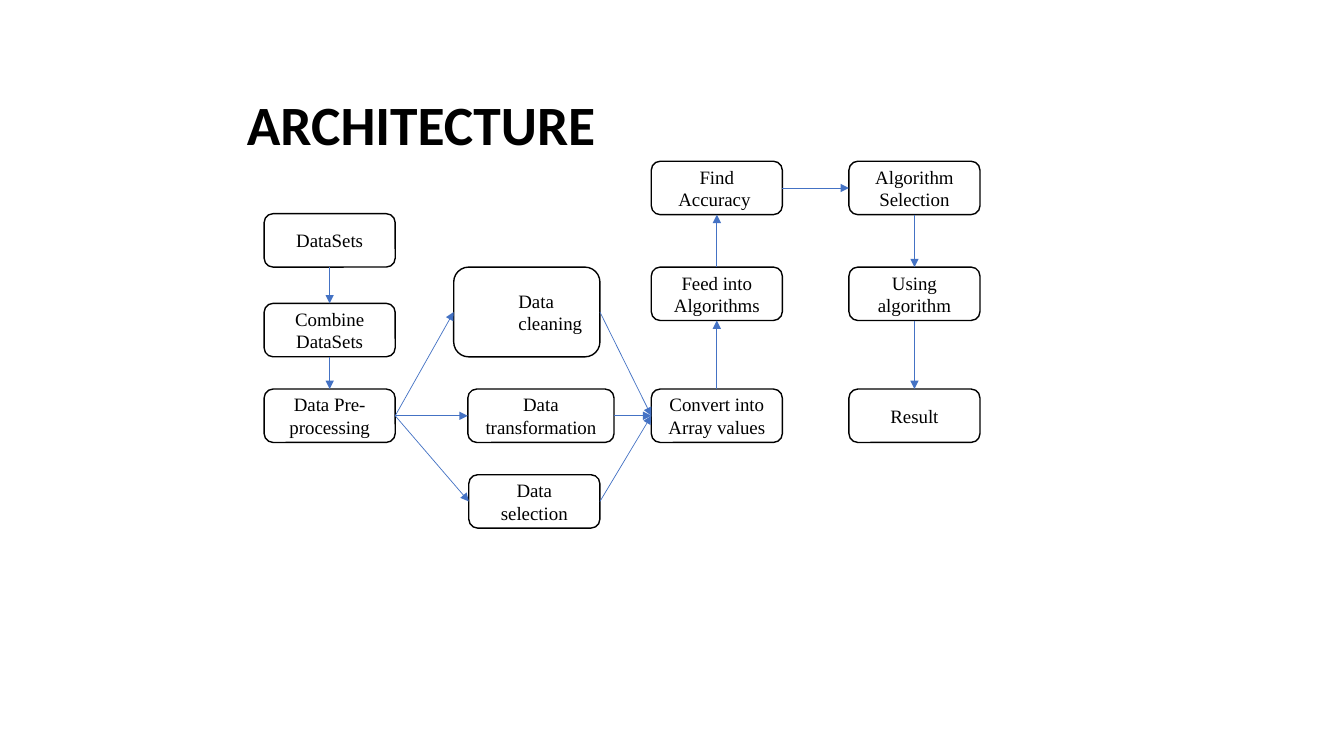
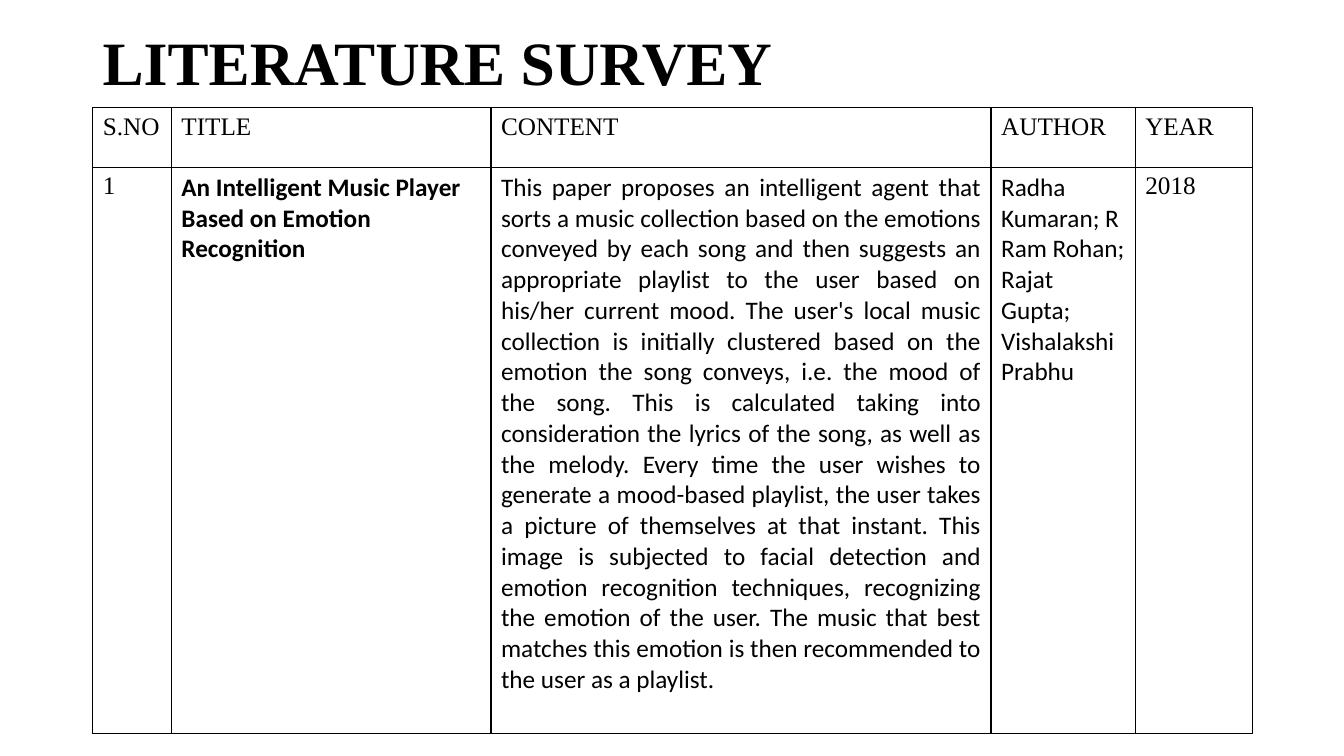
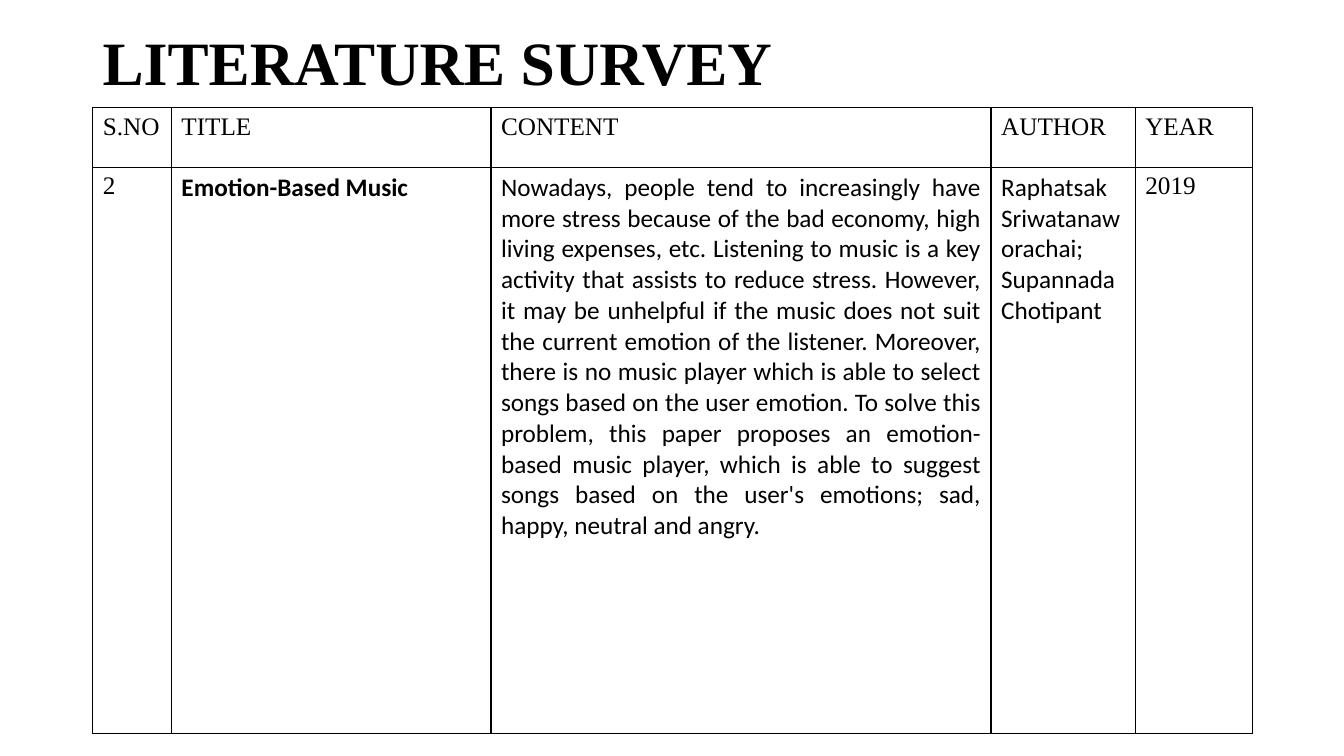
from dataclasses import dataclass

import pptx
import pptx.dml.color
import pptx.enum.shapes
import pptx.enum.text
import pptx.oxml
import pptx.oxml.ns
import pptx.util

EMU_PER_PX = 9144  # 100 px to the inch
COLOURS = {"paper": "FFFFFF", "ink": "000000", "arrow": "4472C4"}
SERIF = "Times New Roman"
SANS = "Calibri"
ALIGN = pptx.enum.text.PP_ALIGN
ANCHOR = pptx.enum.text.MSO_ANCHOR

# Connection sites of a rounded rectangle
TOP, LEFT, BOTTOM, RIGHT = range(4)


@dataclass(frozen=True)
class Title:
    text: str
    left: int
    top: int
    width: int
    height: int
    font: str
    size: float


@dataclass(frozen=True)
class Step:
    text: str
    left: int
    top: int
    width: int = 130
    height: int = 53
    indent: int = 0


@dataclass(frozen=True)
class Arrow:
    start: str
    start_site: int
    end: str
    end_site: int


@dataclass(frozen=True)
class Column:
    heading: str
    width: int
    font: str = SERIF
    bold: bool = False
    align: ALIGN = ALIGN.LEFT


@dataclass(frozen=True)
class Paper:
    number: str
    title: str
    content: str
    author: str
    year: str


# Architecture diagram
ARCHITECTURE_TITLE = Title("ARCHITECTURE", 235, 92, 862, 68, SANS, 39.6)
INPUT_X, PREPARE_X, MODEL_X, OUTPUT_X = 262, 464, 646, 842
UPPER_Y, MIDDLE_Y, LOWER_Y = 160, 265, 386
STEPS = {
    "datasets": Step("DataSets", INPUT_X, 212),
    "combine": Step("Combine DataSets", INPUT_X, 301),
    "preprocess": Step("Data Pre-processing", INPUT_X, LOWER_Y),
    "clean": Step("Data cleaning", 450, MIDDLE_Y, 145, 89, indent=50),
    "transform": Step("Data transformation", PREPARE_X, LOWER_Y, 145),
    "select": Step("Data selection", PREPARE_X + 1, 471),
    "convert": Step("Convert into Array values", MODEL_X, LOWER_Y),
    "feed": Step("Feed into Algorithms", MODEL_X, MIDDLE_Y),
    "accuracy": Step("Find Accuracy ", MODEL_X, UPPER_Y),
    "choose": Step("Algorithm Selection", OUTPUT_X, UPPER_Y),
    "use": Step("Using algorithm", OUTPUT_X, MIDDLE_Y),
    "result": Step("Result", OUTPUT_X, LOWER_Y),
}
PREPARATIONS = ("clean", "transform", "select")
ARROWS = [
    Arrow("datasets", BOTTOM, "combine", TOP),
    Arrow("combine", BOTTOM, "preprocess", TOP),
    *(Arrow("preprocess", RIGHT, name, LEFT) for name in PREPARATIONS),
    *(Arrow(name, RIGHT, "convert", LEFT) for name in PREPARATIONS),
    Arrow("convert", TOP, "feed", BOTTOM),
    Arrow("feed", TOP, "accuracy", BOTTOM),
    Arrow("accuracy", RIGHT, "choose", LEFT),
    Arrow("choose", BOTTOM, "use", TOP),
    Arrow("use", BOTTOM, "result", TOP),
]

# Literature survey tables
SURVEY_TITLE = Title("LITERATURE SURVEY", 92, 22, 1150, 86, SERIF, 44)
TABLE_LEFT, TABLE_TOP = 92, 107
ROW_HEIGHTS = (59, 562)
COLUMNS = (
    Column("S.NO", 78),
    Column("TITLE", 317, SANS, bold=True),
    Column("CONTENT", 496, SANS, align=ALIGN.JUSTIFY),
    Column("AUTHOR", 143, SANS),
    Column("YEAR", 116),
)
PAPERS = (
    Paper(
        "1",
        "An Intelligent Music Player Based on Emotion Recognition",
        "This paper proposes an intelligent agent that sorts a music collection based on "
        "the emotions conveyed by each song and then suggests an appropriate playlist to "
        "the user based on his/her current mood. The user's local music collection is "
        "initially clustered based on the emotion the song conveys, i.e. the mood of the "
        "song. This is calculated taking into consideration the lyrics of the song, as "
        "well as the melody. Every time the user wishes to generate a mood-based "
        "playlist, the user takes a picture of themselves at that instant. This image is "
        "subjected to facial detection and emotion recognition techniques, recognizing "
        "the emotion of the user. The music that best matches this emotion is then "
        "recommended to the user as a playlist.",
        "Radha Kumaran; R Ram Rohan; Rajat Gupta; Vishalakshi Prabhu",
        "2018",
    ),
    Paper(
        "2",
        "Emotion-Based Music",
        "Nowadays, people tend to increasingly have more stress because of the bad "
        "economy, high living expenses, etc. Listening to music is a key activity that "
        "assists to reduce stress. However, it may be unhelpful if the music does not "
        "suit the current emotion of the listener. Moreover, there is no music player "
        "which is able to select songs based on the user emotion. To solve this problem, "
        "this paper proposes an emotion-based music player, which is able to suggest "
        "songs based on the user's emotions; sad, happy, neutral and angry.",
        "Raphatsak Sriwatanaworachai; Supannada Chotipant",
        "2019",
    ),
)


def px(length: int) -> pptx.util.Emu:
    return pptx.util.Emu(length * EMU_PER_PX)


def colour(name: str) -> pptx.dml.color.RGBColor:
    return pptx.dml.color.RGBColor.from_string(COLOURS[name])


def add_element(parent, tag: str, **attributes: str):
    element = pptx.oxml.parse_xml(f"<{tag} {pptx.oxml.ns.nsdecls('a')}/>")
    for name, value in attributes.items():
        element.set(name, value)
    parent.append(element)
    return element


def write(text_frame, text: str, font: str, size: float, bold: bool = False,
          align: ALIGN = ALIGN.LEFT):
    text_frame.text = text
    text_frame.word_wrap = True
    paragraph = text_frame.paragraphs[0]
    paragraph.alignment = align
    for run in paragraph.runs:
        run.font.name = font
        run.font.size = pptx.util.Pt(size)
        run.font.bold = bold
        run.font.color.rgb = colour("ink")
    return paragraph


def add_title(slide, title: Title) -> None:
    box = slide.shapes.add_textbox(
        px(title.left), px(title.top), px(title.width), px(title.height))
    paragraph = write(box.text_frame, title.text, title.font, title.size, bold=True)
    paragraph.line_spacing = 0.9
    box.text_frame.vertical_anchor = ANCHOR.MIDDLE


def add_step(slide, step: Step):
    shape = slide.shapes.add_shape(
        pptx.enum.shapes.MSO_SHAPE.ROUNDED_RECTANGLE,
        px(step.left), px(step.top), px(step.width), px(step.height))
    shape.shadow.inherit = False
    shape.fill.solid()
    shape.fill.fore_color.rgb = colour("paper")
    shape.line.color.rgb = colour("ink")
    shape.line.width = pptx.util.Pt(1)
    align = ALIGN.LEFT if step.indent else ALIGN.CENTER
    paragraph = write(shape.text_frame, step.text, SERIF, 13.5, align=align)
    if step.indent:
        paragraph._p.get_or_add_pPr().set("marL", str(px(step.indent)))
    shape.text_frame.vertical_anchor = ANCHOR.MIDDLE
    return shape


def add_arrow(slide, arrow: Arrow, shapes: dict) -> None:
    connector = slide.shapes.add_connector(
        pptx.enum.shapes.MSO_CONNECTOR.STRAIGHT, 0, 0, 0, 0)
    connector.begin_connect(shapes[arrow.start], arrow.start_site)
    connector.end_connect(shapes[arrow.end], arrow.end_site)
    connector.line.color.rgb = colour("arrow")
    connector.line.width = pptx.util.Pt(0.5)
    add_element(connector.line._get_or_add_ln(), "a:tailEnd", type="triangle")
    add_element(connector._element.spPr, "a:effectLst")


def style_cell(cell) -> None:
    properties = cell._tc.get_or_add_tcPr()
    for side in ("a:lnL", "a:lnR", "a:lnT", "a:lnB"):
        border = add_element(properties, side, w=str(pptx.util.Pt(1)))
        add_element(add_element(border, "a:solidFill"), "a:srgbClr", val=COLOURS["ink"])
    cell.fill.solid()
    cell.fill.fore_color.rgb = colour("paper")


def add_survey_table(slide, paper: Paper) -> None:
    table = slide.shapes.add_table(
        len(ROW_HEIGHTS), len(COLUMNS), px(TABLE_LEFT), px(TABLE_TOP),
        px(sum(column.width for column in COLUMNS)), px(sum(ROW_HEIGHTS))).table
    table.first_row = False
    table.horz_banding = False
    for row, height in zip(table.rows, ROW_HEIGHTS):
        row.height = px(height)
    values = (paper.number, paper.title, paper.content, paper.author, paper.year)
    for index, (column, value) in enumerate(zip(COLUMNS, values)):
        table.columns[index].width = px(column.width)
        heading_cell, value_cell = table.cell(0, index), table.cell(1, index)
        write(heading_cell.text_frame, column.heading, SERIF, 18)
        write(value_cell.text_frame, value, column.font, 18, column.bold, column.align)
        style_cell(heading_cell)
        style_cell(value_cell)


def add_slide(presentation, title: Title):
    slide = presentation.slides.add_slide(presentation.slide_layouts[6])
    add_title(slide, title)
    return slide


def main() -> None:
    presentation = pptx.Presentation()
    presentation.slide_width = px(1333)
    presentation.slide_height = px(750)

    # Architecture
    slide = add_slide(presentation, ARCHITECTURE_TITLE)
    shapes = {name: add_step(slide, step) for name, step in STEPS.items()}
    for arrow in ARROWS:
        add_arrow(slide, arrow, shapes)

    # One survey slide for each paper
    for paper in PAPERS:
        add_survey_table(add_slide(presentation, SURVEY_TITLE), paper)

    presentation.save("out.pptx")


if __name__ == "__main__":
    main()
